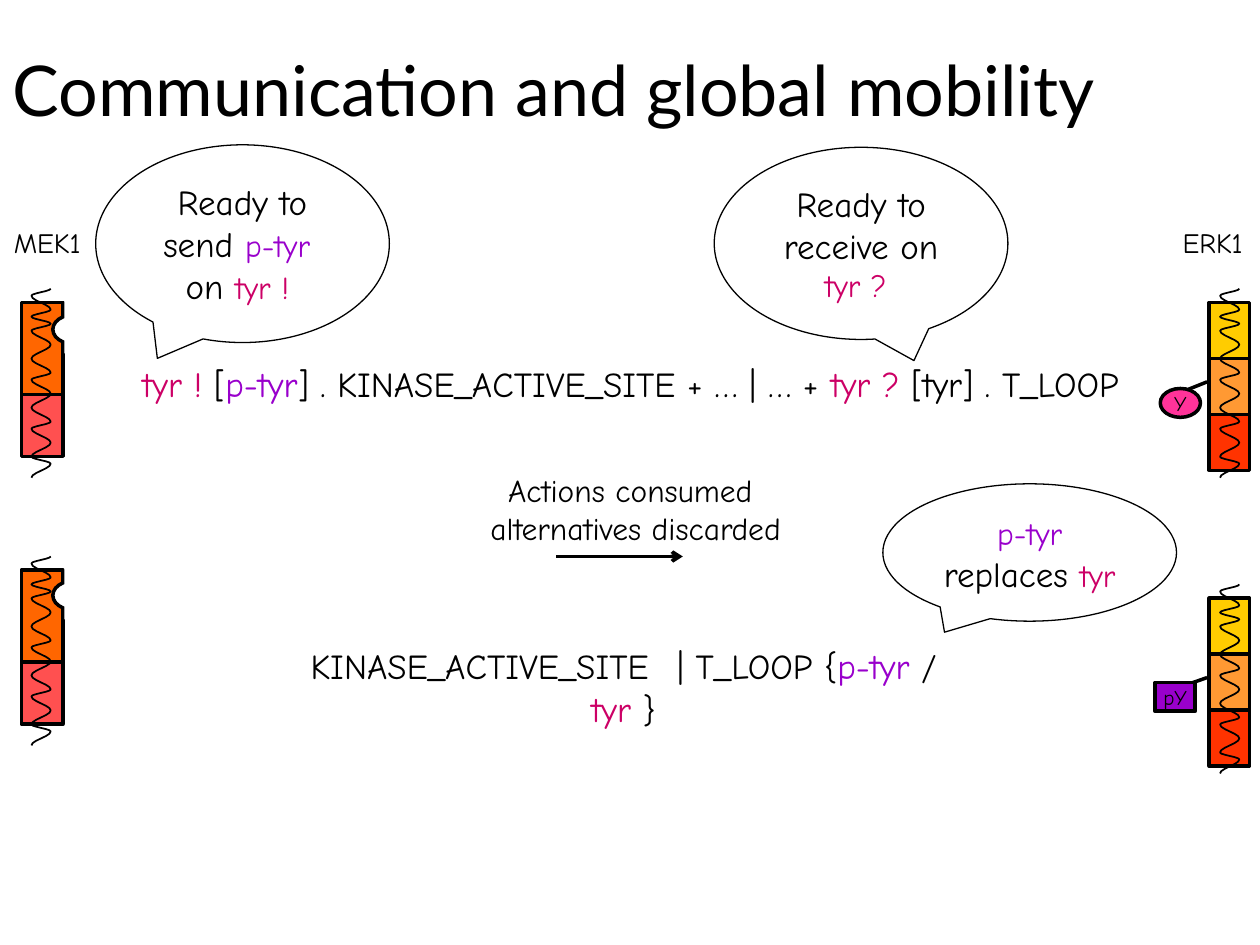
import math

import pptx
import pptx.dml.color
import pptx.enum.shapes
import pptx.enum.text
import pptx.oxml
import pptx.oxml.ns
import pptx.util

Pt = pptx.util.Pt
RGB = pptx.dml.color.RGBColor.from_string
SHAPE = pptx.enum.shapes.MSO_SHAPE
STRAIGHT = pptx.enum.shapes.MSO_CONNECTOR.STRAIGHT
ALIGN = pptx.enum.text.PP_ALIGN
ANCHOR = pptx.enum.text.MSO_ANCHOR

THEME = {
    "title font": "Lato", "body font": "Comic Neue",
    "title": 40, "formula": 20, "accent": 18, "label": 16, "tag": 12, "gap": 24,
    "black": "000000", "white": "FFFFFF", "purple": "9900CC", "magenta": "CC0066",
    "orange": "FF6600", "coral": "FF5050", "yellow": "FFCC00",
    "amber": "FF9933", "red": "FF3300", "pink": "FF3399",
}


def write(shape, pieces, size, wrap=False, anchor=ANCHOR.MIDDLE, inset=(7.2, 3.6)):
    """Fill a shape with one centred paragraph of (text, colour[, size]) pieces."""
    frame = shape.text_frame
    frame.word_wrap = wrap
    frame.vertical_anchor = anchor
    frame.margin_left = frame.margin_right = Pt(inset[0])
    frame.margin_top = frame.margin_bottom = Pt(inset[1])
    paragraph = frame.paragraphs[0]
    paragraph.alignment = ALIGN.CENTER
    paragraph.font.name = THEME["body font"]
    paragraph.font.size = Pt(THEME[size])
    for text, colour, *own_size in pieces:
        if text == "\n":
            paragraph.add_line_break()
            continue
        run = paragraph.add_run()
        run.text = text
        run.font.color.rgb = RGB(THEME[colour])
        if own_size:
            run.font.size = Pt(THEME[own_size[0]])


def add_shape(kind, box, fill=None, line_width=2):
    """Add a preset shape with a black outline; no fill or line when not given."""
    shape = slide.shapes.add_shape(kind, *map(Pt, box))
    shape.shadow.inherit = False
    if fill:
        shape.fill.solid()
        shape.fill.fore_color.rgb = RGB(THEME[fill])
    else:
        shape.fill.background()
    if line_width:
        shape.line.color.rgb = RGB(THEME["black"])
        shape.line.width = Pt(line_width)
    else:
        shape.line.fill.background()
    return shape


presentation = pptx.Presentation()
presentation.slide_width, presentation.slide_height = Pt(720), Pt(540)
slide = presentation.slides.add_slide(presentation.slide_layouts[5])

# Title
title = slide.shapes.title
title.left, title.top, title.width, title.height = map(Pt, (0, 5.8, 708, 90))
title.text_frame.text = "Communication and global mobility"
title.text_frame.vertical_anchor = ANCHOR.MIDDLE
paragraph = title.text_frame.paragraphs[0]
paragraph.alignment = ALIGN.LEFT
paragraph.font.name = THEME["title font"]
paragraph.font.size = Pt(THEME["title"])
paragraph.font.color.rgb = RGB(THEME["black"])

# Protein domains: (left, width, top, height, colour)
domains = []
for top in (165, 318):
    domains += [(12.2, 23.8, top + 51.8, 44, "coral"),
                (12.2, 23.8, top + 7.8, 52.6, "orange")]
for top in (165, 334):
    for row, colour in ((2, "red"), (0, "yellow"), (1, "amber")):
        domains.append((691, 23, top + 7.8 + 32 * row, 32, colour))
for left, width, top, height, colour in domains:
    add_shape(SHAPE.RECTANGLE, (left, top, width, height), colour)

# Helices: half turns of one or two units, swinging right to left and back
HALF_TURNS = (1, 2, 1, 1, 1, 2, 2, 2, 1, 2, 2, 2, 1, 2, 2, 1, 2)
UNIT, RADIUS, SAMPLES = 4, 5.5, 6
for centre, top in ((23.5, 165), (23.5, 318), (702.7, 165), (702.7, 334)):
    points, y = [], top
    for turn, units in enumerate(HALF_TURNS):
        for sample in range(1, SAMPLES + 1):
            part = sample / SAMPLES
            x = centre + RADIUS * math.cos(math.pi * (turn + part))
            points.append((Pt(x), Pt(y + units * UNIT * part)))
        y += units * UNIT
    builder = slide.shapes.build_freeform(Pt(centre + RADIUS), Pt(top), scale=1.0)
    builder.add_line_segments(points, close=False)
    helix = builder.convert_to_shape()
    helix.shadow.inherit = False
    helix.fill.background()
    helix.line.color.rgb = RGB(THEME["black"])
    helix.line.width = Pt(1)

# Active-site notches, cut open on the right by a white block
for top in (180, 332):
    add_shape(SHAPE.OVAL, (30.2, top, 23, 16.5), "white")
    add_shape(SHAPE.RECTANGLE, (36.8, top - 8, 23.8, 30), "white", 0)

# Residue stems and the reaction arrow: (x1, y1, x2, y2, arrowhead)
for x1, y1, x2, y2, arrowhead in ((689.8, 218.2, 679, 222.5, False),
                                  (689.8, 387.2, 679, 391, False),
                                  (318, 318, 390.2, 318, True)):
    connector = slide.shapes.add_connector(STRAIGHT, *map(Pt, (x1, y1, x2, y2)))
    connector.line.color.rgb = RGB(THEME["black"])
    connector.line.width = Pt(2)
    if arrowhead:
        line = connector.line._get_or_add_ln()
        line.append(pptx.oxml.parse_xml(
            f'<a:tailEnd {pptx.oxml.ns.nsdecls("a")} type="arrow"/>'))
    connector._element.spPr.append(pptx.oxml.parse_xml(
        f'<a:effectLst {pptx.oxml.ns.nsdecls("a")}/>'))

# Residue tags
for kind, left, top, fill, text in ((SHAPE.OVAL, 663, 222, "pink", "Y"),
                                    (SHAPE.RECTANGLE, 660, 390, "purple", "pY")):
    tag = add_shape(kind, (left, top, 23, 16.5), fill)
    write(tag, [(text, "black")], "tag")

# Speech bubbles
for box, pointer, pieces in (
    ((54.7, 82.8, 167.8, 113), (-0.29, 0.58),
     [("Ready to send ", "black"), ("p-tyr", "purple", "accent"), (" ", "black"),
      ("\n", None), ("on ", "black"), ("tyr ! ", "magenta", "accent")]),
    ((408.2, 84.2, 167.8, 109.8), (0.18, 0.61),
     [("Ready to receive on ", "black"), ("tyr ? ", "magenta", "accent")]),
    ((504.5, 276.5, 167.8, 78.5), (-0.29, 0.58),
     [("p-tyr", "purple", "accent"), (" replaces ", "black"),
      ("tyr", "magenta", "accent")]),
):
    bubble = add_shape(SHAPE.OVAL_CALLOUT, box, None, 0.75)
    bubble.adjustments[0], bubble.adjustments[1] = pointer
    write(bubble, pieces, "formula", wrap=True, inset=(3.6, 3.6))

# Labels and process formulas
for box, size, anchor, wrap, pieces in (
    ((0, 117.4, 54, 41.8), "label", ANCHOR.MIDDLE, False, [("MEK1", "black")]),
    ((666, 117.4, 54, 41.8), "label", ANCHOR.MIDDLE, False, [("ERK1", "black")]),
    ((9.4, 203.8, 702, 41.8), "formula", ANCHOR.TOP, True,
     [("tyr !", "magenta"), (" [", "black"), ("p-tyr", "purple"),
      ("] . KINASE_ACTIVE_SITE + … | … + ", "black"), ("tyr ?", "magenta"),
      (" [tyr] . T_LOOP", "black")]),
    ((210.2, 270, 306, 41.8), "accent", ANCHOR.MIDDLE, False,
     [("Actions consumed ", "black"), ("\n", None),
      ("alternatives discarded", "black")]),
    ((151.2, 360.7, 410.4, 36), "formula", ANCHOR.TOP, False,
     [("KINASE_ACTIVE_SITE", "black"), ("  ", "black", "gap"),
      ("| T_LOOP {", "black"), ("p-tyr ", "purple"), ("/ ", "black"),
      ("tyr ", "magenta"), ("}", "black")]),
):
    write(slide.shapes.add_textbox(*map(Pt, box)), pieces, size, wrap, anchor)

presentation.save("out.pptx")
